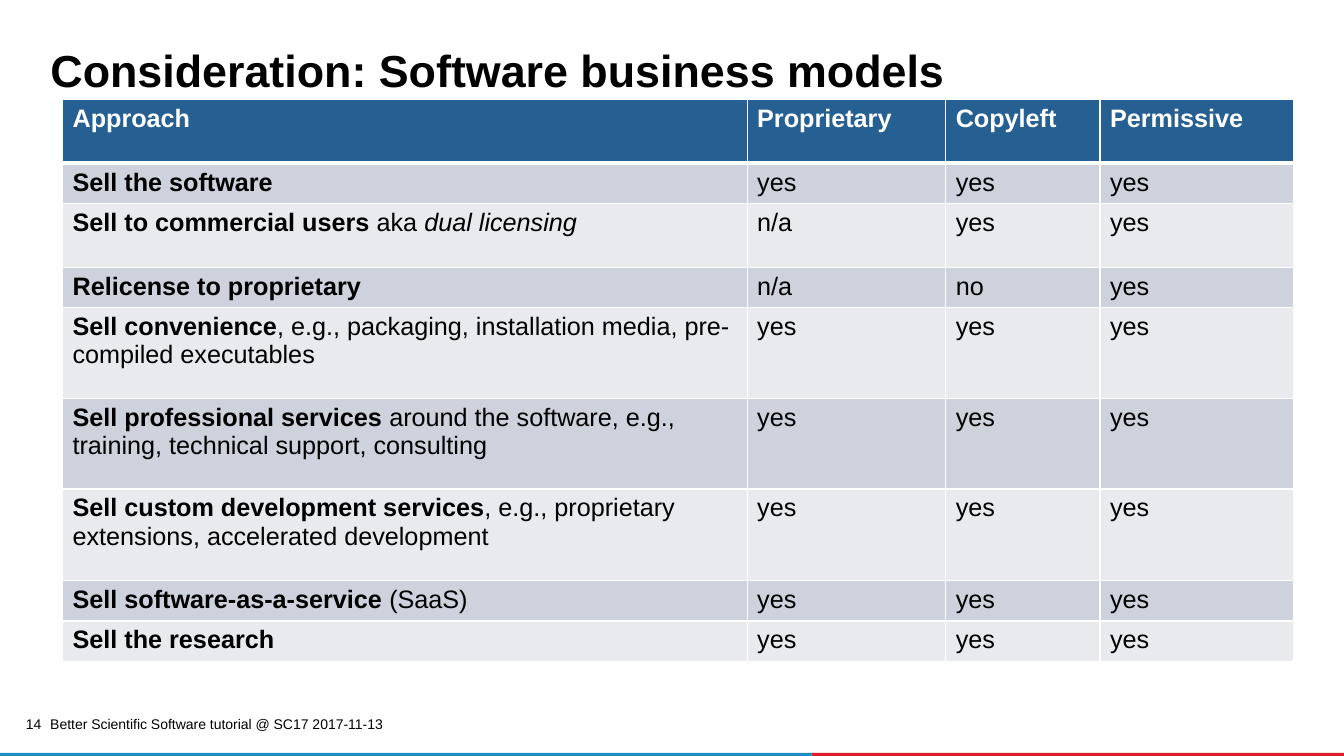
from lxml import etree
from pptx import Presentation
from pptx.dml.color import RGBColor
from pptx.enum.shapes import MSO_SHAPE
from pptx.enum.text import MSO_ANCHOR, PP_ALIGN
from pptx.oxml.ns import qn
from pptx.util import Inches, Pt

RECTANGLE = MSO_SHAPE.RECTANGLE
TOP, MIDDLE, BOTTOM = MSO_ANCHOR.TOP, MSO_ANCHOR.MIDDLE, MSO_ANCHOR.BOTTOM
LEFT, RIGHT = PP_ALIGN.LEFT, PP_ALIGN.RIGHT

FONT = "Arial"
BLACK, WHITE = "000000", "FFFFFF"
HEADER_FILL = "266092"
BAND_FILLS = ("CDD2DC", "E8EAEE")
COLUMN_WIDTHS = (6.79, 1.97, 1.53, 1.92)
ROW_HEIGHTS = (0.63, 0.39, 0.63, 0.39, 0.9, 0.9, 0.91, 0.39, 0.39)
HEADINGS = ("Approach", "Proprietary", "Copyleft", "Permissive")
MODELS = (
    ("Sell the software", "", "", ("yes", "yes", "yes")),
    ("Sell to commercial users", " aka ", "dual licensing", ("n/a", "yes", "yes")),
    ("Relicense to proprietary", "", "", ("n/a", "no", "yes")),
    ("Sell convenience", ", e.g., packaging, installation media, pre-compiled executables",
     "", ("yes", "yes", "yes")),
    ("Sell professional services ",
     "around the software, e.g., training, technical support, consulting",
     "", ("yes", "yes", "yes")),
    ("Sell custom development services",
     ", e.g., proprietary extensions, accelerated development", "", ("yes", "yes", "yes")),
    ("Sell software-as-a-service ", "(SaaS)", "", ("yes", "yes", "yes")),
    ("Sell the research", "", "", ("yes", "yes", "yes")),
)


def paint(color_format, color):
    """Set a fill or font colour from a hex string."""
    color_format.rgb = RGBColor.from_string(color)


def add_span(para, text, size, color=BLACK, bold=False, italic=False):
    """Add one formatted run to a paragraph."""
    span = para.add_run()
    span.text = text
    span.font.name = FONT
    span.font.size = Pt(size)
    span.font.bold = bold
    span.font.italic = italic
    paint(span.font.color, color)


def place(shape, left, top, width, height):
    """Move and size a shape in inches."""
    shape.left, shape.top = Inches(left), Inches(top)
    shape.width, shape.height = Inches(width), Inches(height)


def add_title(page, text):
    """Fill and format the title placeholder."""
    title = page.shapes.title
    place(title, 0.4, 0.45, 12.44, 0.56)
    title.text_frame.vertical_anchor = BOTTOM
    para = title.text_frame.paragraphs[0]
    para.alignment = LEFT
    para.line_spacing = 0.85
    add_span(para, text, 32, bold=True)


def add_bar(page, left, width, color):
    """Add a thin strip along the bottom edge."""
    bar = page.shapes.add_shape(
        RECTANGLE, Inches(left), Inches(7.47), Inches(width), Inches(0.03))
    bar.shadow.inherit = False
    bar.fill.solid()
    paint(bar.fill.fore_color, color)
    bar.line.fill.background()


def add_label(page, text, bounds, anchor, alignment=LEFT, inset=True, spacing=1.0):
    """Add a small footer text."""
    box = page.shapes.add_textbox(*(Inches(length) for length in bounds))
    frame = box.text_frame
    frame.word_wrap = True
    frame.vertical_anchor = anchor
    if not inset:
        frame.margin_left = frame.margin_right = 0
        frame.margin_top = frame.margin_bottom = 0
    para = frame.paragraphs[0]
    para.alignment = alignment
    para.line_spacing = spacing
    add_span(para, text, 10)


def add_border(cell, side, width):
    """Add a white border to one side of a cell."""
    line = etree.SubElement(cell._tc.get_or_add_tcPr(), qn(f"a:ln{side}"), w=str(Pt(width)))
    fill = etree.SubElement(line, qn("a:solidFill"))
    etree.SubElement(fill, qn("a:srgbClr"), val=WHITE)


def format_cell(cell, row, color):
    """Give a cell its borders and fill, with a thick line under the header."""
    widths = {"L": 1, "R": 1, "T": 3 if row == 1 else 1, "B": 3 if row == 0 else 1}
    for side, width in widths.items():
        add_border(cell, side, width)
    cell.fill.solid()
    paint(cell.fill.fore_color, color)


def add_models_table(page):
    """Add the table of business models by licence type."""
    table = page.shapes.add_table(
        len(ROW_HEIGHTS), len(COLUMN_WIDTHS), Inches(0.62), Inches(0.99),
        Inches(sum(COLUMN_WIDTHS)), Inches(sum(ROW_HEIGHTS))).table
    for column, width in zip(table.columns, COLUMN_WIDTHS):
        column.width = Inches(width)
    for row, height in zip(table.rows, ROW_HEIGHTS):
        row.height = Inches(height)
    for index, heading in enumerate(HEADINGS):
        cell = table.cell(0, index)
        format_cell(cell, 0, HEADER_FILL)
        add_span(cell.text_frame.paragraphs[0], heading, 18, WHITE, bold=True)
    for row, (name, detail, term, answers) in enumerate(MODELS, start=1):
        for index, text in enumerate((name, *answers)):
            cell = table.cell(row, index)
            format_cell(cell, row, BAND_FILLS[(row - 1) % 2])
            add_span(cell.text_frame.paragraphs[0], text, 18, bold=index == 0)
        approach = table.cell(row, 0).text_frame.paragraphs[0]
        if detail:
            add_span(approach, detail, 18)
        if term:
            add_span(approach, term, 18, italic=True)


def main():
    """Build the slide and save it."""
    deck = Presentation()
    deck.slide_width, deck.slide_height = Inches(13.33), Inches(7.5)
    page = deck.slides.add_slide(deck.slide_layouts[5])
    add_bar(page, 8.05, 5.29, "DA1F28")
    add_bar(page, -0.01, 8.06, "1B8DC3")
    add_label(page, "Better Scientific Software tutorial @ SC17 2017-11-13",
              (0.4, 7.08, 3.63, 0.2), MIDDLE)
    add_label(page, "14", (0.18, 7.12, 0.23, 0.17), TOP, RIGHT, inset=False, spacing=0.9)
    add_title(page, "Consideration: Software business models")
    add_models_table(page)
    deck.save("out.pptx")


if __name__ == "__main__":
    main()
